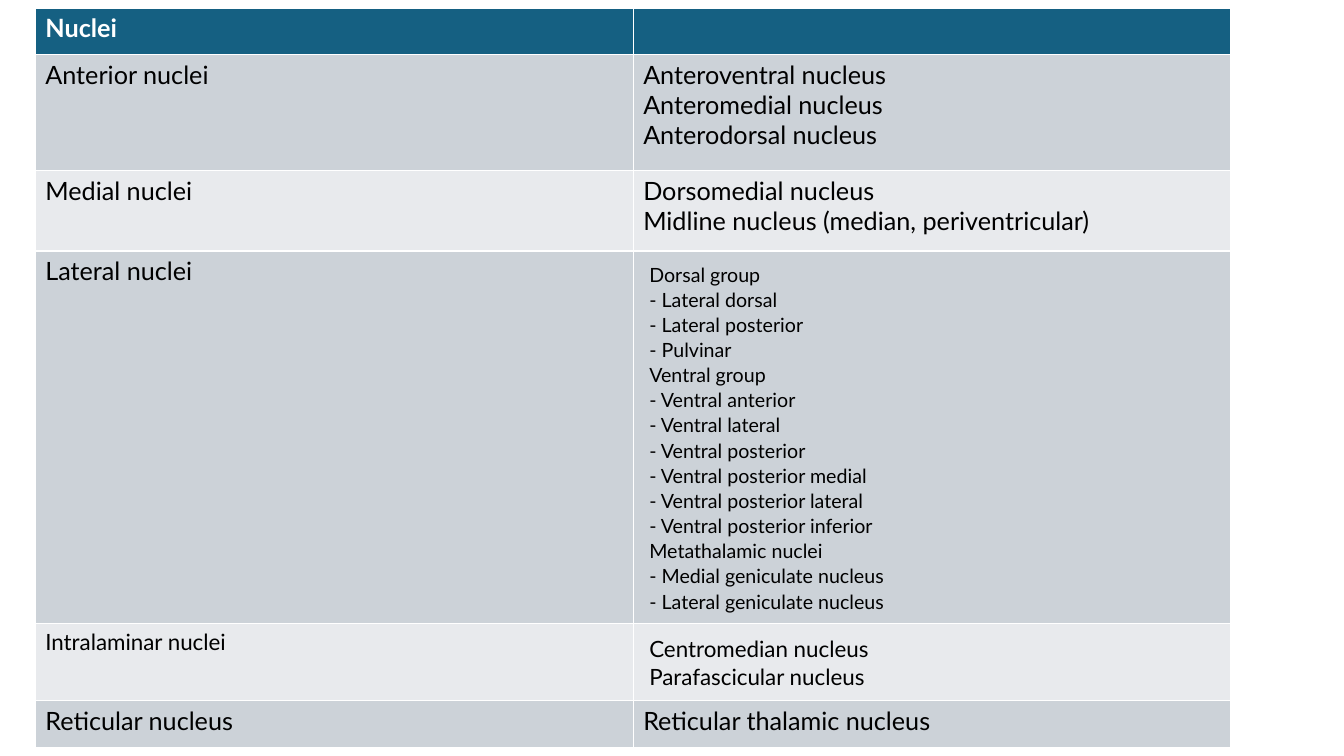
from dataclasses import dataclass

from pptx import Presentation
from pptx.dml.color import RGBColor
from pptx.table import _Cell
from pptx.util import Inches, Pt


@dataclass(frozen=True)
class Theme:
    font: str = "Lato"
    head: RGBColor = RGBColor(0x15, 0x60, 0x82)
    dark: RGBColor = RGBColor(0xCC, 0xD2, 0xD8)
    light: RGBColor = RGBColor(0xE8, 0xEA, 0xED)
    white: RGBColor = RGBColor(0xFF, 0xFF, 0xFF)
    black: RGBColor = RGBColor(0, 0, 0)
    large: int = 18
    medium: int = 16
    small: int = 14


THEME = Theme()


@dataclass(frozen=True)
class Entry:
    height: float
    group: str
    nuclei: tuple[str, ...] = ()
    left_size: int = THEME.large
    right_size: int = THEME.large
    padded: bool = False


ENTRIES = [
    Entry(0.46, "Nuclei"),
    Entry(1.15, "Anterior nuclei", (
        "Anteroventral nucleus",
        "Anteromedial nucleus",
        "Anterodorsal nucleus",
    )),
    Entry(0.8, "Medial nuclei", (
        "Dorsomedial nucleus",
        "Midline nucleus (median, periventricular)",
    )),
    Entry(3.38, "Lateral nuclei", (
        "Dorsal group",
        "- Lateral dorsal",
        "- Lateral posterior",
        "- Pulvinar",
        "Ventral group",
        "- Ventral anterior",
        "- Ventral lateral",
        "- Ventral posterior",
        "- Ventral posterior medial",
        "- Ventral posterior lateral",
        "- Ventral posterior inferior",
        "Metathalamic nuclei",
        "- Medial geniculate nucleus",
        "- Lateral geniculate nucleus",
    ), right_size=THEME.small, padded=True),
    Entry(0.68, "Intralaminar nuclei", (
        "Centromedian nucleus",
        "Parafascicular nucleus",
    ), THEME.medium, THEME.medium, padded=True),
    Entry(0.46, "Reticular nucleus", ("Reticular thalamic nucleus",)),
]


def fill_cell(cell: _Cell, text: str, size: int, row: int) -> None:
    """Write one cell; row 0 is the header, the others are banded."""
    cell.fill.solid()
    band = THEME.dark if row % 2 else THEME.light
    cell.fill.fore_color.rgb = band if row else THEME.head
    line = cell.text_frame.paragraphs[0]
    line.text = text
    line.font.name = THEME.font
    line.font.size = Pt(size)
    line.font.bold = row == 0
    line.font.color.rgb = THEME.black if row else THEME.white


def pad_cell(cell: _Cell) -> None:
    cell.margin_left = cell.margin_right = Inches(0.16)
    cell.margin_top = cell.margin_bottom = Inches(0.1)
    line = cell.text_frame.paragraphs[0]
    line.line_spacing = 1.07
    line.space_after = Pt(8)


def main() -> None:
    deck = Presentation()
    deck.slide_width, deck.slide_height = Inches(13.33), Inches(7.5)
    slide = deck.slides.add_slide(deck.slide_layouts[6])
    total = sum(entry.height for entry in ENTRIES)
    table = slide.shapes.add_table(
        len(ENTRIES), 2, Inches(0.35), Inches(0.08), Inches(11.86), Inches(total)
    ).table
    for row, entry in enumerate(ENTRIES):
        table.rows[row].height = Inches(entry.height)
        left, right = table.cell(row, 0), table.cell(row, 1)
        fill_cell(left, entry.group, entry.left_size, row)
        fill_cell(right, "\v".join(entry.nuclei), entry.right_size, row)
        if entry.padded:
            pad_cell(right)
    deck.save("out.pptx")


if __name__ == "__main__":
    main()
